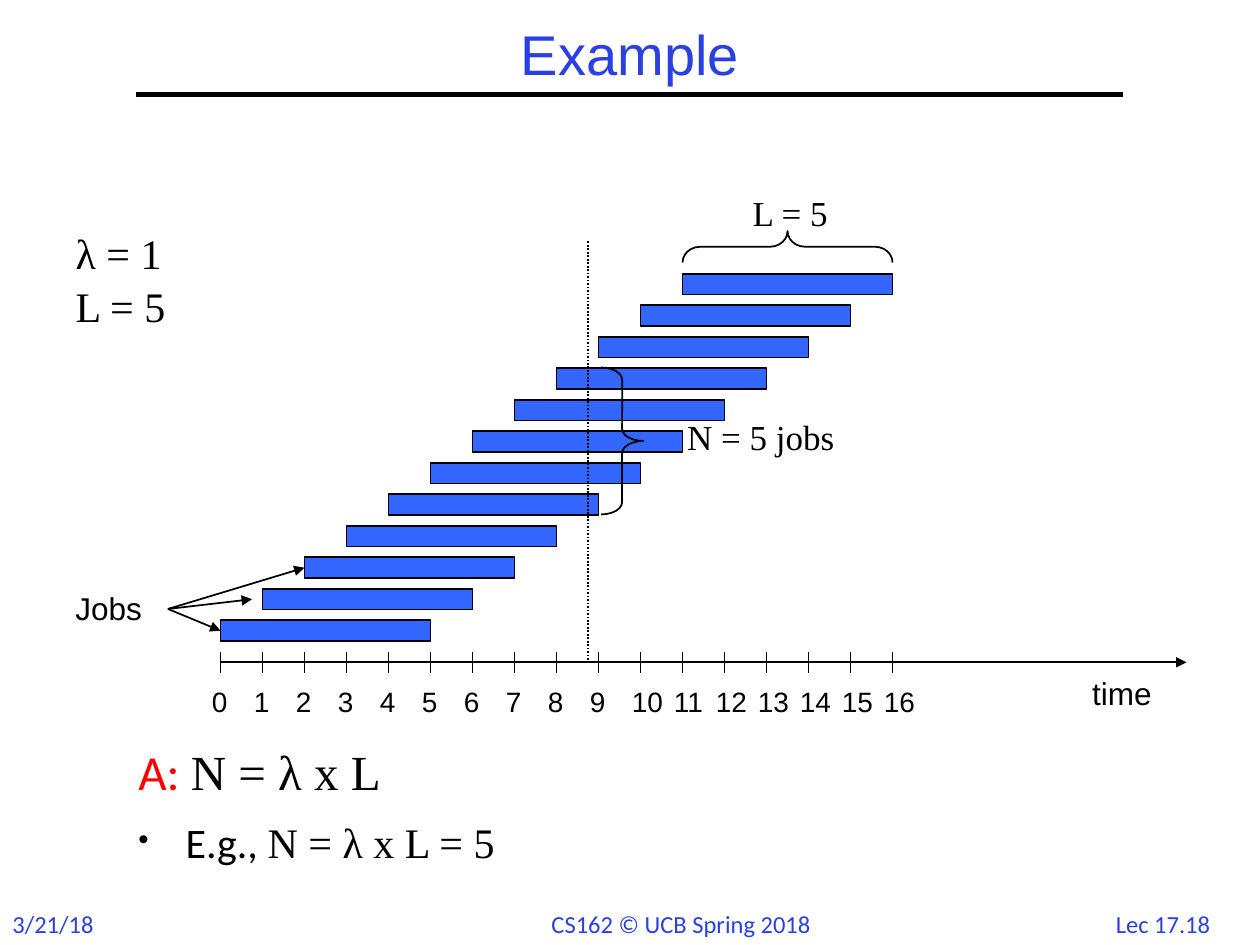
from lxml.etree import SubElement
from pptx import Presentation
from pptx.dml.color import RGBColor
from pptx.enum.dml import MSO_LINE
from pptx.enum.shapes import MSO_CONNECTOR, MSO_SHAPE
from pptx.enum.text import MSO_ANCHOR, MSO_AUTO_SIZE, PP_ALIGN
from pptx.oxml.ns import qn
from pptx.util import Pt

BLACK, BLUE, BAR, RED = "000000", "2A40E2", "3366FF", "FF0000"
SANS, SERIF, FOOT = "Arial", "Times New Roman", "Calibri"
JOBS, SPAN, STEP, RISE = 12, 5, 24, 18
LEFT, BASE, AXIS = 126, 354.4, 378.5
RATES = ["λ = 1", "L = 5"]
LABELS = [
    ("Lec 17.18", 630.5, 515.8, 76, 24, 14, FOOT, BLUE),
    ("3/21/18", 0, 515.8, 68, 24, 14, FOOT, BLUE),
    ("CS162 © UCB Spring 2018", 308, 515.8, 170, 24, 14, FOOT, BLUE),
    ("time", 617, 381.6, 56, 29, 18, SANS, BLACK),
    ("Jobs", 36, 333, 58, 29, 18, SANS, BLACK),
    ("L = 5", 423, 106, 62, 31, 20, SERIF, BLACK),
    ("N = 5 jobs", 385.5, 234, 106, 31, 20, SERIF, BLACK),
]
ANSWER = [
    [("A: ", 28, FOOT, RED), ("N = λ x L", 28, SERIF, BLACK)],
    [("E.g., ", 24, FOOT, BLACK), ("N = λ x L = 5", 24, SERIF, BLACK), (" ", 28, SERIF, BLACK)],
]
BRACES = [
    (MSO_SHAPE.LEFT_BRACE, 441, 81, 18, 120, 90, 0.556),
    (MSO_SHAPE.RIGHT_BRACE, 343.5, 210, 24, 84, 0, 0.292),
]

deck = Presentation()
deck.slide_width, deck.slide_height = Pt(720), Pt(540)
slide = deck.slides.add_slide(deck.slide_layouts[1])
shapes = slide.shapes


def hue(code):
    """Turn a hex string into a colour."""
    return RGBColor.from_string(code)


def place(shape, *box):
    """Move and size a shape in points."""
    shape.left, shape.top, shape.width, shape.height = map(Pt, box)


def write(para, text, size, face, code):
    """Add one formatted run."""
    run = para.add_run()
    run.text = text
    run.font.size, run.font.name = Pt(size), face
    run.font.color.rgb = hue(code)


def label(text, x, y, w, h, size, face, code):
    """Add a single-line label."""
    box = shapes.add_textbox(Pt(x), Pt(y), Pt(w), Pt(h))
    box.text_frame.word_wrap = False
    write(box.text_frame.paragraphs[0], text, size, face, code)


def line(x1, y1, x2, y2, width=1, head=False):
    """Draw a straight black line, with an arrowhead if asked."""
    link = shapes.add_connector(MSO_CONNECTOR.STRAIGHT, Pt(x1), Pt(y1), Pt(x2), Pt(y2))
    link.line.width = Pt(width)
    link.line.color.rgb = hue(BLACK)
    if head:
        SubElement(link.line._get_or_add_ln(), qn("a:tailEnd"), type="triangle")
    SubElement(link._element.spPr, qn("a:effectLst"))
    return link


def outline(kind, *box):
    """Add a black-edged shape without a shadow."""
    shape = shapes.add_shape(kind, *map(Pt, box))
    shape.shadow.inherit = False
    shape.line.color.rgb = hue(BLACK)
    shape.line.width = Pt(1)
    return shape


def indent(para, left, first):
    """Set the hanging indent in points and return the properties."""
    props = para._p.get_or_add_pPr()
    props.set("marL", str(Pt(left)))
    props.set("indent", str(Pt(first)))
    return props


def heads():
    """Fill the title and the list of rates."""
    title, body = shapes.title, slide.placeholders[1]
    place(title, 78, 12, 564, 42)
    place(body, 36, 132, 110, 62)
    for shape in (title, body):
        shape.text_frame.auto_size = MSO_AUTO_SIZE.NONE
    title.text_frame.vertical_anchor = MSO_ANCHOR.MIDDLE
    para = title.text_frame.paragraphs[0]
    para.alignment, para.line_spacing = PP_ALIGN.CENTER, 0.9
    write(para, "Example", 32, SANS, BLUE)
    frame = body.text_frame
    for i, text in enumerate(RATES):
        para = frame.add_paragraph() if i else frame.paragraphs[0]
        SubElement(indent(para, 0, 0), qn("a:buNone"))
        para.line_spacing, para.space_before = 0.8, Pt(7.2)
        write(para, text, 24, SERIF, BLACK)
    line(78, 54, 642, 54, 3)


def chart():
    """Draw the job bars, the time axis and the pointers."""
    bars = []
    for i in range(JOBS):
        bar = outline(MSO_SHAPE.RECTANGLE, LEFT + STEP * i, BASE - RISE * i, STEP * SPAN, 12)
        bar.fill.solid()
        bar.fill.fore_color.rgb = hue(BAR)
        bars.append(bar)
    line(LEFT, AXIS, 678, AXIS, head=True)
    for n in range(JOBS + SPAN):
        x = LEFT + STEP * n
        line(x, AXIS - 6, x, AXIS + 6)
        label(str(n), x - 12, 387.4, 23 if n < 10 else 34, 27, 16, SANS, BLACK)
    line(336, 138, 336, 378).line.dash_style = MSO_LINE.ROUND_DOT
    for i, x in enumerate((126, 144, 174)):
        link = line(96, 348, x, BASE + 6 - RISE * i, head=True)
        if x == LEFT + STEP * i:
            link.end_connect(bars[i], 1)
    for kind, x, y, w, h, turn, curl in BRACES:
        brace = outline(kind, x, y, w, h)
        brace.fill.background()
        brace.rotation = turn
        brace.adjustments[0], brace.adjustments[1] = curl, 0.5


def answer():
    """Write the result with its bulleted example."""
    frame = shapes.add_textbox(Pt(72), Pt(420), Pt(612), Pt(108)).text_frame
    frame.word_wrap = True
    for i, runs in enumerate(ANSWER):
        para = frame.add_paragraph() if i else frame.paragraphs[0]
        if i:
            props = indent(para, 27, -27)
            SubElement(SubElement(props, qn("a:buClr")), qn("a:srgbClr"), val=BLACK)
            SubElement(props, qn("a:buSzPct"), val="70000")
            SubElement(props, qn("a:buFont"), typeface=SANS)
            SubElement(props, qn("a:buChar"), char="•")
        para.space_before = Pt(5.6)
        for run in runs:
            write(para, *run)


heads()
chart()
for item in LABELS:
    label(*item)
answer()
deck.save("out.pptx")
